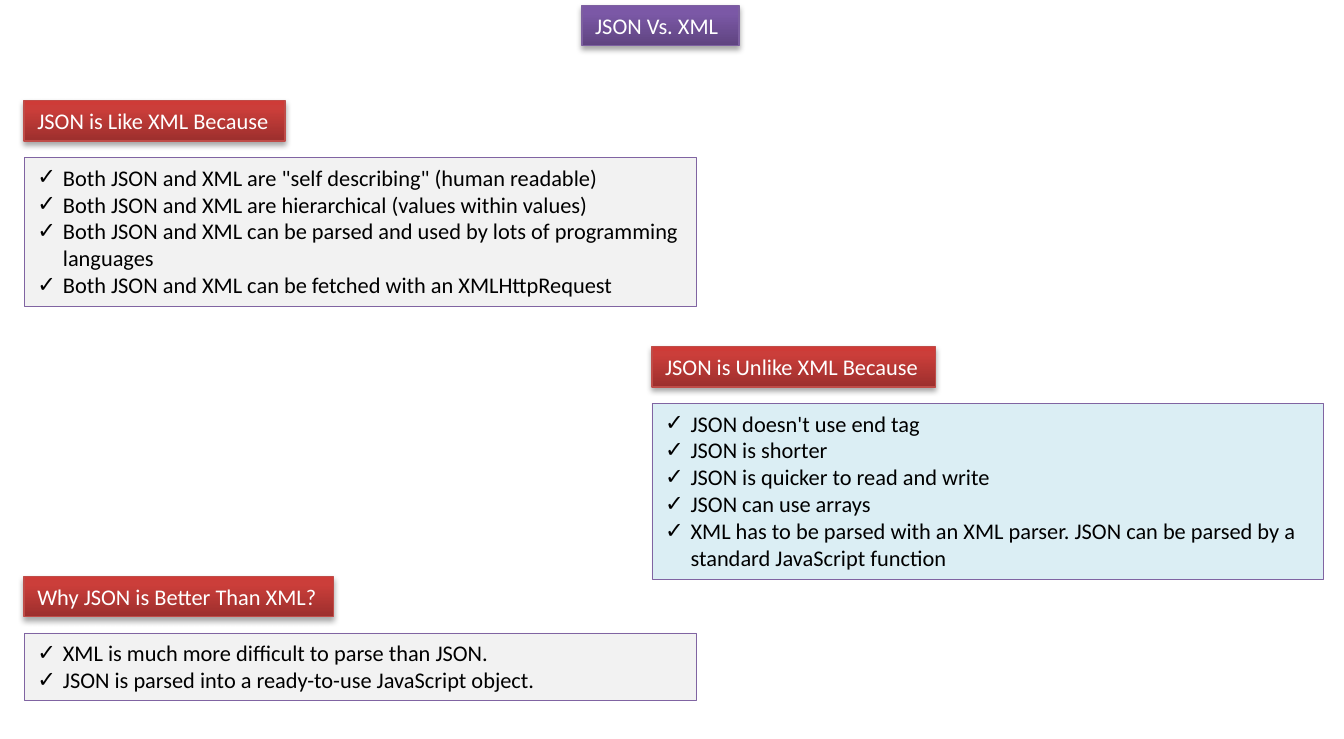
"""Build the JSON Vs. XML comparison slide."""
from lxml import etree
from pptx import Presentation
from pptx import util as u
from pptx.dml.color import RGBColor
from pptx.enum import text
from pptx.oxml.ns import qn

COLORS = {
    "black": "000000", "white": "FFFFFF", "gray": "F2F2F2", "aqua": "DBEEF4",
    "body_line": "8064A2", "red_line": "BF4C48", "purple_line": "7D60A0",
}
GRADIENTS = {
    "red": {0: "9C2F2D", 80: "CB3E3A", 100: "CE3B37"},
    "purple": {0: "5F4480", 80: "7B58A6", 100: "7C57A8"},
}
HEADING_HEIGHT = 0.3
BODY_OFFSET = 0.42
BODY_WIDTH = 5
INDENT = u.Inches(0.19)

SECTIONS = [
    (0.18, 0.75, 1.94, 1.11, "gray", "JSON is Like XML Because", [
        'Both JSON and XML are "self describing" (human readable)',
        "Both JSON and XML are hierarchical (values within values)",
        "Both JSON and XML can be parsed and used by lots of programming languages",
        "Both JSON and XML can be fetched with an XMLHttpRequest",
    ]),
    (4.85, 2.58, 2.11, 1.31, "aqua", "JSON is Unlike XML Because", [
        "JSON doesn't use end tag",
        "JSON is shorter",
        "JSON is quicker to read and write",
        "JSON can use arrays",
        "XML has to be parsed with an XML parser. JSON can be parsed by a standard JavaScript function",
    ]),
    (0.18, 4.29, 2.3, 0.5, "gray", "Why JSON is Better Than XML?", [
        "XML is much more difficult to parse than JSON.",
        "JSON is parsed into a ready-to-use JavaScript object.",
    ]),
]


def add_color(parent, value):
    """Append an RGB colour element and return it."""
    return etree.SubElement(parent, qn("a:srgbClr"), val=value)


class Deck:
    """Hold the text style and the current slide."""

    def __init__(self, slide, font="Calibri", size=12):
        """Keep the slide, font and size."""
        self.slide, self.font, self.size = slide, font, size

    def box(self, left, top, width, height, line, line_width, wrap):
        """Add an outlined text box."""
        panel = self.slide.shapes.add_textbox(*map(u.Inches, (left, top, width, height)))
        panel.line.color.rgb = RGBColor.from_string(COLORS[line])
        panel.line.width = u.Pt(line_width)
        panel.text_frame.word_wrap = wrap
        panel.text_frame.auto_size = text.MSO_AUTO_SIZE.SHAPE_TO_FIT_TEXT
        return panel

    def add_words(self, paragraph, words, color):
        """Add one styled run."""
        run = paragraph.add_run()
        run.text = words
        run.font.name, run.font.size = self.font, u.Pt(self.size)
        run.font.color.rgb = RGBColor.from_string(COLORS[color])

    def heading(self, left, top, width, words, hue, wrap=False):
        """Add a gradient label with a soft shadow."""
        label = self.box(left, top, width, HEADING_HEIGHT, f"{hue}_line", 0.75, wrap)
        label.fill.gradient()
        label.fill.gradient_angle = 90
        stops = next(label.element.iter(qn("a:gsLst")))
        stops.clear()
        for position, value in GRADIENTS[hue].items():
            add_color(etree.SubElement(stops, qn("a:gs"), pos=str(position * 1000)), value)
        label.shadow.inherit = False
        effects = next(label.element.iter(qn("a:effectLst")))
        shadow = etree.SubElement(
            effects, qn("a:outerShdw"), blurRad=str(u.Pt(3.1)), dist=str(u.Pt(1.8)),
            dir="5400000", rotWithShape="0")
        etree.SubElement(add_color(shadow, COLORS["black"]), qn("a:alpha"), val="35000")
        self.add_words(label.text_frame.paragraphs[0], words, "white")

    def checklist(self, left, top, height, fill, points):
        """Add a filled panel of check-marked points."""
        panel = self.box(left, top, BODY_WIDTH, height, "body_line", 0.25, True)
        panel.fill.solid()
        panel.fill.fore_color.rgb = RGBColor.from_string(COLORS[fill])
        frame = panel.text_frame
        for index, point in enumerate(points):
            paragraph = frame.add_paragraph() if index else frame.paragraphs[0]
            properties = paragraph._p.get_or_add_pPr()
            properties.set("marL", str(INDENT))
            properties.set("indent", str(-INDENT))
            etree.SubElement(properties, qn("a:buFont"), typeface=self.font)
            etree.SubElement(properties, qn("a:buChar"), char="✓")
            self.add_words(paragraph, point, "black")


def main():
    """Build and save the slide."""
    presentation = Presentation()
    presentation.slide_width, presentation.slide_height = u.Inches(10), u.Inches(5.5)
    deck = Deck(presentation.slides.add_slide(presentation.slide_layouts[6]))
    for left, top, width, height, fill, title, points in SECTIONS:
        deck.checklist(left, top + BODY_OFFSET, height, fill, points)
        deck.heading(left, top, width, title, "red")
    deck.heading(4.33, 0.04, 1.17, "JSON Vs. XML", "purple", wrap=True)
    presentation.save("out.pptx")


if __name__ == "__main__":
    main()
